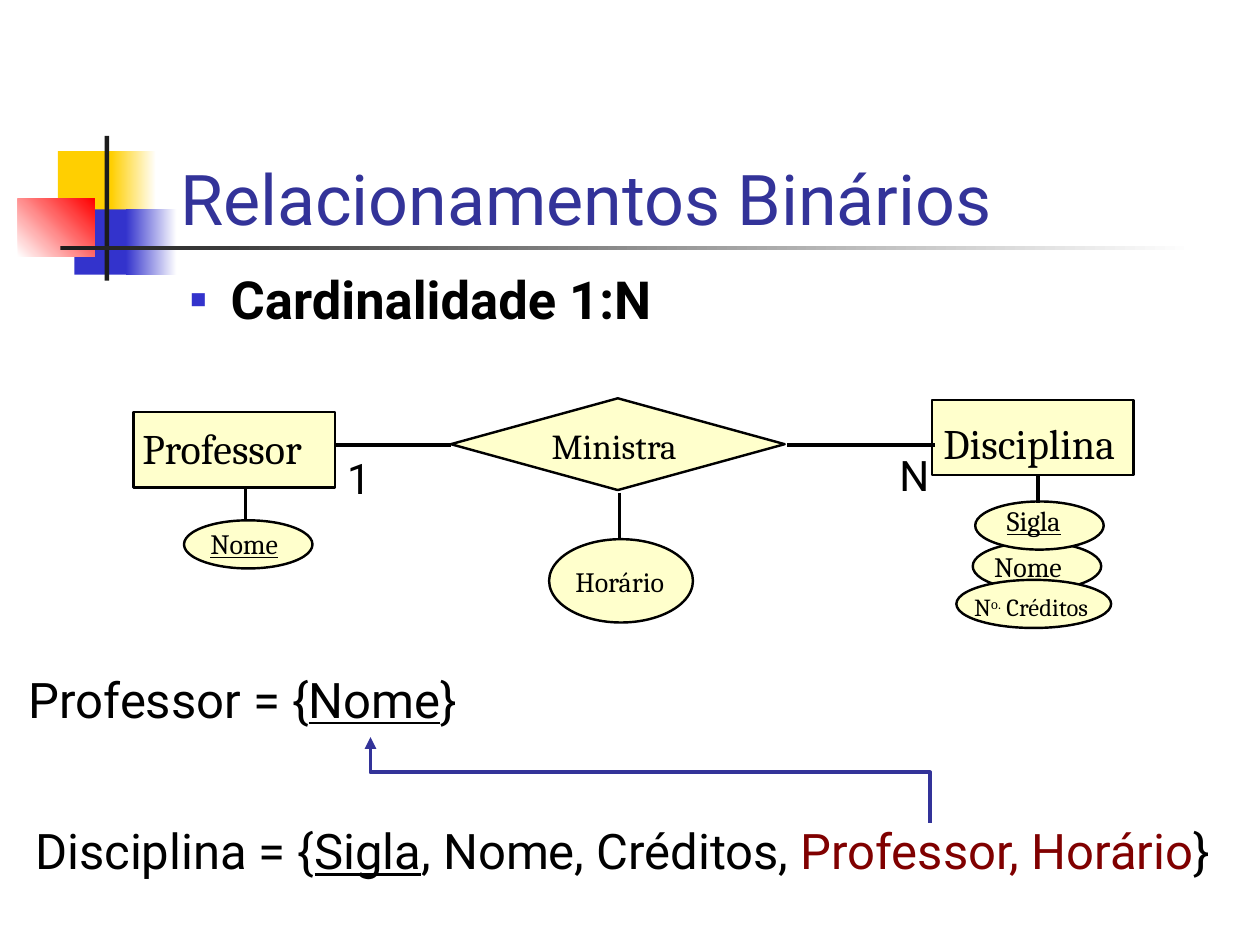
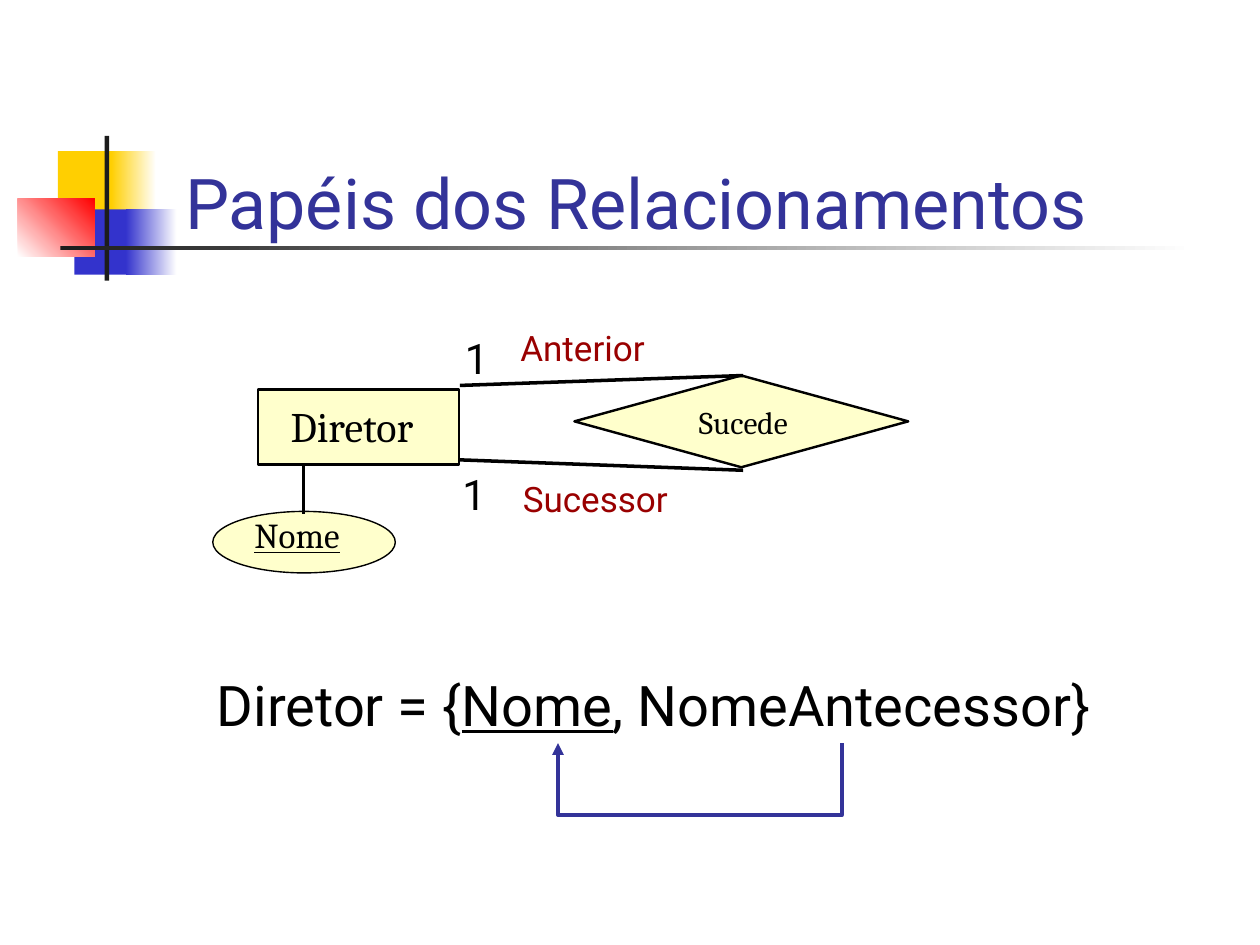
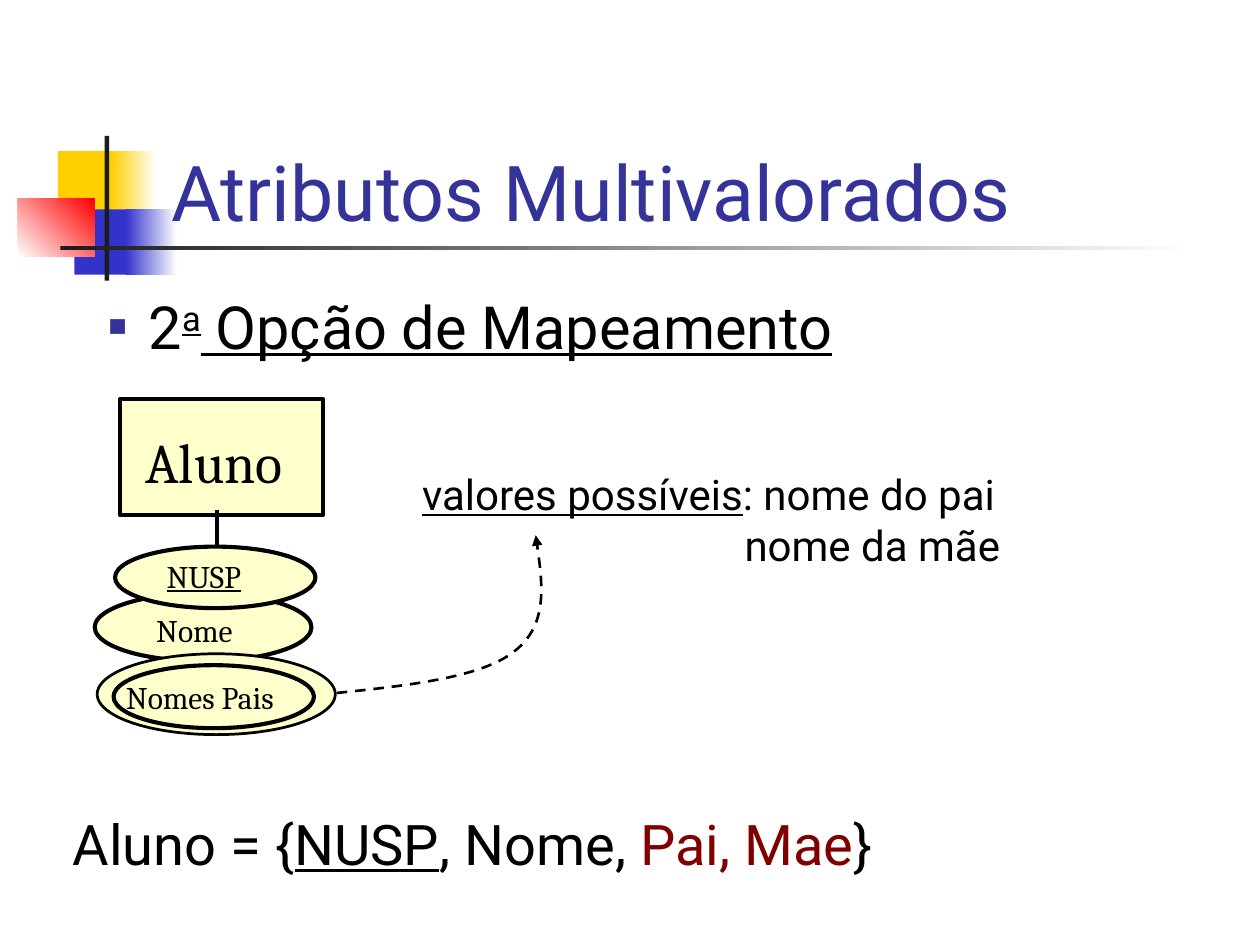
from lxml import etree
from pptx import Presentation, util as u
from pptx.dml.color import RGBColor
from pptx.enum import dml, shapes, text
from pptx.oxml.ns import qn

HUES = {
    "ink": "000000", "title": "333399", "blue": "3333CC", "gold": "FFCF01",
    "red": "FF0000", "dark": "1C1C1C", "white": "FFFFFF", "cream": "FFFFCC",
    "role": "990000", "key": "800000",
}
SANS, SERIF = "Roboto", "Cambria"
RECT, OVAL, RHOMB = (shapes.MSO_SHAPE.RECTANGLE, shapes.MSO_SHAPE.OVAL,
                     shapes.MSO_SHAPE.DIAMOND)
UNDER = {"underline": True}
KEY = {"color": "key"}


def hue(name):
    return RGBColor.from_string(HUES[name])


def cms(*vals):
    return [u.Cm(v) for v in vals]


def inner(box, x, y, *size):
    """Shift a place given relative to box to its place on the slide."""
    return (box[0] + x, box[1] + y, *size)


def style(run, form):
    """Apply format values; "base" is the superscript shift in percent."""
    for name, val in form.items():
        if name == "color":
            run.font.color.rgb = hue(val)
        elif name == "base":
            run._r.get_or_add_rPr().set("baseline", str(val * 1000))
        else:
            setattr(run.font, name, u.Pt(val) if name == "size" else val)


def write(par, runs, form):
    """Fill a paragraph with runs, each a string or (string, format) pair."""
    for part in [runs] if isinstance(runs, str) else runs:
        words, own = (part, {}) if isinstance(part, str) else part
        run = par.add_run()
        run.text = words
        style(run, {"name": SANS, "color": "ink", **form, **own})


def frame(shape, anchor=text.MSO_ANCHOR.TOP):
    flat = {"word_wrap": True, "auto_size": text.MSO_AUTO_SIZE.NONE,
            "vertical_anchor": anchor, "margin_left": 0, "margin_right": 0,
            "margin_top": 0, "margin_bottom": 0}
    for name, val in flat.items():
        setattr(shape.text_frame, name, val)
    return shape.text_frame.paragraphs[0]


def say(slide, box, runs, **form):
    shape = slide.shapes.add_textbox(*cms(*box))
    write(frame(shape), runs, form)
    return shape.text_frame


def place(shape, box):
    for name, val in zip(("left", "top", "width", "height"), cms(*box)):
        setattr(shape, name, val)


def head(slide, box, words, size=40):
    place(slide.shapes.title, box)
    par = frame(slide.shapes.title, text.MSO_ANCHOR.BOTTOM)
    par.alignment = text.PP_ALIGN.LEFT
    write(par, words, {"size": size, "color": "title"})


def bullet(slide, box, runs, color, **form):
    body = slide.placeholders[1]
    place(body, box)
    par = frame(body)
    props = par._p.get_or_add_pPr()
    gap = u.Cm(0.84)
    props.set("marL", str(gap))
    props.set("indent", str(-gap))
    tint = etree.SubElement(props, qn("a:buClr"))
    etree.SubElement(tint, qn("a:srgbClr")).set("val", HUES[color])
    etree.SubElement(props, qn("a:buChar")).set("char", "▪")
    par.space_before = 0
    write(par, runs, form)


def draw(slide, kind, box, fill, line=None):
    shape = slide.shapes.add_shape(kind, *cms(*box))
    shape.shadow.inherit = False
    if isinstance(fill, str):
        shape.fill.solid()
        shape.fill.fore_color.rgb = hue(fill)
    else:
        first, last, angle = fill
        shape.fill.gradient()
        shape.fill.gradient_angle = angle
        for stop, name in zip(shape.fill.gradient_stops, (first, last)):
            stop.color.rgb = hue(name)
    if line:
        ink(shape, "ink", line)
    else:
        shape.line.fill.background()
    return shape


def ink(shape, color, width):
    shape.line.color.rgb = hue(color)
    shape.line.width = u.Pt(width)


def link(slide, box, x1, y1, x2, y2):
    ends = inner(box, x1, y1) + inner(box, x2, y2)
    line = slide.shapes.add_connector(shapes.MSO_CONNECTOR.STRAIGHT,
                                      *cms(*ends))
    ink(line, "ink", 2)
    etree.SubElement(line._element.spPr, qn("a:effectLst"))


def route(slide, box, points, color="title", width=2.25, dash=None):
    """Draw an open outline through points, ending in an arrowhead."""
    start, *rest = [cms(*inner(box, *p)) for p in points]
    pen = slide.shapes.build_freeform(*start)
    pen.add_line_segments(rest, close=False)
    shape = pen.convert_to_shape()
    shape.shadow.inherit = False
    shape.fill.background()
    ink(shape, color, width)
    if dash:
        shape.line.dash_style = dash
    tip = etree.SubElement(shape.line._get_or_add_ln(), qn("a:tailEnd"))
    tip.set("type", "triangle")
    return shape


def bend(shape):
    """Turn each three segments of an outline into one Bézier curve."""
    track = shape._element.find(".//" + qn("a:path"))
    steps = track.findall(qn("a:lnTo"))
    for i in range(0, len(steps), 3):
        curve = etree.SubElement(track, qn("a:cubicBezTo"))
        for step in steps[i:i + 3]:
            curve.append(step[0])
            track.remove(step)


def node(slide, box, kind, rel, label="", off=(0, 0), size=16, line=1.39):
    spot = inner(box, *rel)
    draw(slide, kind, spot, "cream", line)
    if label:
        area = inner(spot, *off, rel[2] - off[0], round(size * 0.042, 2))
        say(slide, area, label, size=size, name=SERIF)


def model(slide, box, nodes, links, marks=()):
    """Draw an entity-relationship diagram relative to box."""
    for item in nodes:
        node(slide, box, *item)
    for ends in links:
        link(slide, box, *ends)
    for words, x, y, form in marks:
        say(slide, inner(box, x, y, 3.5, 1), words, **form)


def scheme(slide, box, rows, size, arrow=()):
    """Write relation schemes, with the arrow of the foreign key."""
    for x, y, runs in rows:
        say(slide, inner(box, x, y, box[2] - x, 1.3), runs, size=size)
    if arrow:
        route(slide, box, arrow)


def band(slide, master, box):
    """Build the corner squares and rules, then move them to the master."""
    parts = [
        (0.81, 0.31, 1.22, 1.32, "gold"),
        (1.88, 0.31, 0.91, 1.32, ("gold", "white", 0)),
        (1.14, 1.48, 1.17, 1.32, "blue"),
        (2.18, 1.48, 1.02, 1.32, ("blue", "white", 0)),
        (0, 1.27, 1.55, 1.17, ("white", "red", 45)),
        (1.75, 0, 0.09, 2.92, "dark"),
        (0.86, 2.21, 22.86, 0.09, ("dark", "white", 0)),
    ]
    for i, (*rel, fill) in enumerate(parts):
        shape = draw(slide, RECT, inner(box, *rel), fill)
        master.shapes.element.insert(2 + i, shape._element)


def binary(slide):
    head(slide, (3.63, 3.12, 17.91, 1.7), "Relacionamentos Binários")
    bullet(slide, (3.81, 5.38, 12, 1.3), "Cardinalidade 1:N", "blue",
           size=30, bold=True)
    number = {"size": 24}
    model(slide, (2.69, 8.03, 20.17, 4.62), [
        (OVAL, (1.02, 2.46, 2.59, 0.97), [("Nome", UNDER)], (0.53, 0.13)),
        (RECT, (16.1, 0.03, 4.06, 1.52), "Disciplina", (0.23, 0.36), 24),
        (OVAL, (16.92, 2.9, 2.59, 0.97), "Nome", (0.43, 0.15)),
        (OVAL, (16.59, 3.66, 3.12, 0.97),
         ["N", ("o.", {"base": 30}), " Créditos"], (0.36, 0.25), 14),
        (RHOMB, (6.4, 0, 6.73, 1.85), "Ministra", (2.03, 0.53), 20),
        (RECT, (0, 0.28, 4.06, 1.52), "Professor", (0.18, 0.2), 24),
        (OVAL, (8.38, 2.84, 2.9, 1.68), "Horário", (0.53, 0.51)),
        (OVAL, (16.97, 2.08, 2.59, 0.97), [("Sigla", UNDER)], (0.64, 0.05)),
    ], [
        (18.24, 1.55, 18.24, 2.11), (2.26, 1.8, 2.26, 2.46),
        (9.8, 1.9, 9.8, 2.84), (4.09, 0.94, 6.4, 0.94),
        (13.18, 0.94, 16.15, 0.94),
    ], [("1", 4.31, 1.1, number), ("N", 15.44, 1.04, number)])
    scheme(slide, (0.58, 13.49, 24.6, 4.3), [
        (0, 0, ["Professor = {", ("Nome", UNDER), "}"]),
        (0.13, 3.05, ["Disciplina = {", ("Sigla", UNDER),
                      ", Nome, Créditos, ", ("Professor, Horário", KEY),
                      "}"]),
    ], 28, [(18.17, 3.1), (18.17, 2.08), (6.89, 2.08), (6.89, 1.37)])


def roles(slide):
    head(slide, (3.73, 3.2, 18.9, 1.7), "Papéis dos Relacionamentos")
    number, role = {"size": 24}, {"size": 20, "color": "role"}
    model(slide, (4.29, 6.58, 14.02, 4.97), [
        (RHOMB, (7.29, 0.99, 6.73, 1.85), "Sucede", (2.51, 0.56), 18),
        (RECT, (0.91, 1.27, 4.06, 1.52), "Diretor", (0.66, 0.23), 24),
        (OVAL, (0, 3.73, 3.68, 1.24), [("Nome", UNDER)], (0.84, 0.05), 20,
         0.79),
    ], [
        (4.98, 1.19, 10.69, 0.99), (4.98, 2.69, 10.69, 2.9),
        (1.83, 2.79, 1.83, 3.78),
    ], [
        ("1", 5.08, 0.13, number), ("1", 5.03, 2.87, number),
        ("Anterior", 6.2, 0, role), ("Sucessor", 6.25, 3.05, role),
    ])
    scheme(slide, (4.37, 13.51, 21.03, 3), [
        (0, 0, ["Diretor = {", ("Nome", UNDER), ", NomeAntecessor}"]),
    ], 32, [(12.6, 1.47), (12.6, 2.92), (6.88, 2.92), (6.88, 1.47)])


def values(slide, box):
    """List the possible values and point the dashed curve at them."""
    note = say(slide, inner(box, 6.6, 1.4, 15.8, 2),
               [("valores possíveis", UNDER), ": nome do pai"], size=24)
    par = note.add_paragraph()
    par._p.get_or_add_pPr().set("marL", str(u.Cm(6.5)))
    write(par, "nome da mãe", {"size": 24})
    bend(route(slide, box, [
        (4.88, 5.92), (6.32, 5.77), (7.8, 5.61), (8.46, 5.08),
        (9.14, 4.55), (9.02, 3.63), (8.89, 2.74),
    ], "ink", 1.5, dml.MSO_LINE.DASH))


def multi(slide):
    head(slide, (3.45, 2.9, 21.1, 1.88), "Atributos Multivalorados", 44)
    bullet(slide, (2.16, 5.84, 17, 1.45),
           ["2", ("a", {**UNDER, "base": 30}),
            (" Opção de Mapeamento", UNDER)], "title", size=34)
    box = (1.91, 8.05, 22.4, 6.76)
    model(slide, box, [
        (OVAL, (0, 3.91, 4.37, 1.37), "Nome", (1.24, 0.36), 18, 2.35),
        (OVAL, (0.05, 5.13, 4.8, 1.63), "", (0, 0), 18, 1.56),
        (OVAL, (0.38, 5.36, 4.04, 1.27), "Nomes Pais", (0.25, 0.25), 18,
         2.35),
        (RECT, (0.51, 0, 4.09, 2.34), "Aluno", (0.51, 0.56), 32, 2.35),
        (OVAL, (0.41, 2.97, 4.04, 1.24), [("NUSP", UNDER)], (1.04, 0.2), 18,
         2.35),
    ], [(2.46, 2.24, 2.46, 3)])
    values(slide, box)
    scheme(slide, (1.47, 16.31, 23.29, 1.35), [
        (0, 0, ["Aluno = {", ("NUSP", UNDER), ", Nome, ",
                ("Pai, Mae", KEY), "}"]),
    ], 32)


def main():
    prs = Presentation()
    prs.slide_width, prs.slide_height = cms(25.4, 19.05)
    listed, plain = prs.slide_layouts[1], prs.slide_layouts[5]
    for i, (layout, build) in enumerate(
            [(listed, binary), (plain, roles), (listed, multi)]):
        slide = prs.slides.add_slide(layout)
        if i == 0:
            band(slide, prs.slide_master, (0.36, 2.74, 23.72, 2.92))
        build(slide)
    prs.save("out.pptx")


if __name__ == "__main__":
    main()
